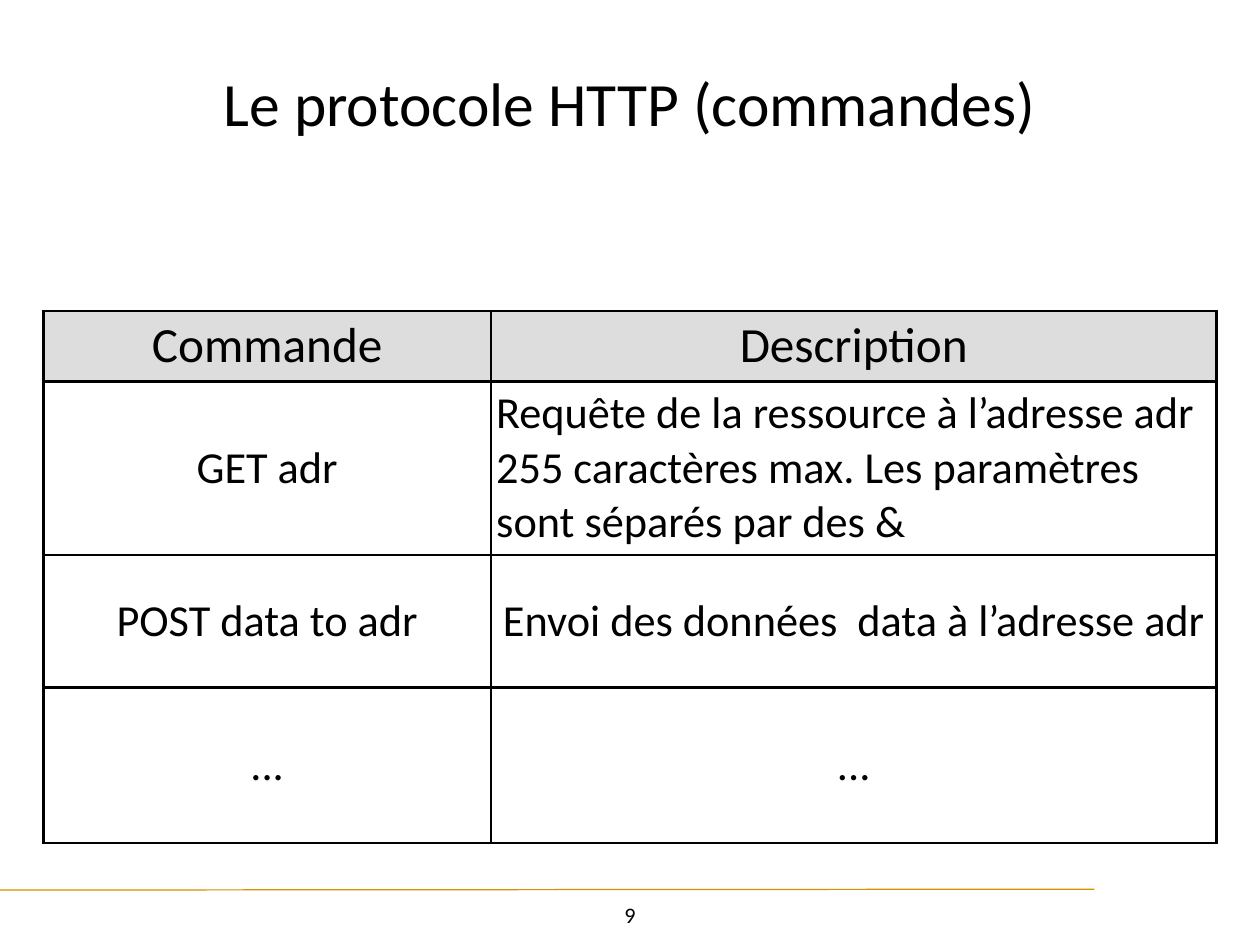
from lxml import etree
from pptx import Presentation
from pptx.dml.color import RGBColor
from pptx.enum.shapes import MSO_CONNECTOR
from pptx.enum.text import MSO_ANCHOR, PP_ALIGN
from pptx.oxml import parse_xml
from pptx.oxml.ns import nsdecls, qn
from pptx.util import Inches, Pt

TITLE = "Le protocole HTTP (commandes)"
PAGE = "9"
ROWS = [
    ("Commande", "Description"),
    ("GET adr", "Requête de la ressource à l’adresse adr\v"
                "255 caractères max. Les paramètres sont séparés par des &"),
    ("POST data to adr", "Envoi des données  data à l’adresse adr"),
    ("...", "..."),
]
COL_WIDTHS = (5.05, 8.19)
ROW_HEIGHTS = (0.79, 1.95, 1.5, 1.76)
LEFT_ALIGNED = (1, 1)
INSET = Inches(0.06)

BLACK = RGBColor(0x00, 0x00, 0x00)
GREY = RGBColor(0xDD, 0xDD, 0xDD)
GOLD = RGBColor(0xD7, 0x90, 0x00)


def set_insets(box):
    box.margin_left = box.margin_right = INSET
    box.margin_top = box.margin_bottom = INSET


def style(p, size, align=PP_ALIGN.CENTER):
    p.alignment = align
    p.font.name = "Calibri"
    p.font.size = Pt(size)
    p.font.color.rgb = BLACK


def add_text(s, text, size, left, top, width, height, anchor, wrap):
    tf = s.shapes.add_textbox(*map(Inches, (left, top, width, height))).text_frame
    set_insets(tf)
    tf.word_wrap = wrap
    tf.vertical_anchor = anchor
    tf.text = text
    style(tf.paragraphs[0], size)


def add_borders(cell):
    tc_pr = cell._tc.get_or_add_tcPr()
    for i, side in enumerate(("lnL", "lnR", "lnT", "lnB")):
        tc_pr.insert(i, parse_xml(
            f'<a:{side} {nsdecls("a")} w="{Pt(2)}"><a:solidFill>'
            f'<a:srgbClr val="{BLACK}"/></a:solidFill></a:{side}>'))


def add_commands(s):
    table = s.shapes.add_table(
        len(ROWS), len(COL_WIDTHS), Inches(0.49), Inches(3.51),
        Inches(sum(COL_WIDTHS)), Inches(sum(ROW_HEIGHTS))).table
    for col, width in zip(table.columns, COL_WIDTHS):
        col.width = Inches(width)
    for r, (texts, height) in enumerate(zip(ROWS, ROW_HEIGHTS)):
        table.rows[r].height = Inches(height)
        for c, text in enumerate(texts):
            cell = table.cell(r, c)
            set_insets(cell)
            cell.vertical_anchor = MSO_ANCHOR.MIDDLE
            if r == 0:
                cell.fill.solid()
                cell.fill.fore_color.rgb = GREY
            else:
                cell.fill.background()
            add_borders(cell)
            cell.text_frame.text = text
            p = cell.text_frame.paragraphs[0]
            p.space_before = Pt(16)
            style(p, 40 if r == 0 else 36,
                  PP_ALIGN.LEFT if (r, c) == LEFT_ALIGNED else PP_ALIGN.CENTER)
            p.font.bold = False


def add_footer_line(s):
    line = s.shapes.add_connector(
        MSO_CONNECTOR.STRAIGHT,
        *map(Inches, (-0.39, 10.05, 12.35, 10.04)))
    line.line.color.rgb = GOLD
    line.line.width = Pt(1)
    etree.SubElement(line._element.spPr, qn("a:effectLst"))


def main():
    prs = Presentation()
    prs.slide_width, prs.slide_height = Inches(14.22), Inches(10.67)
    s = prs.slides.add_slide(prs.slide_layouts[6])
    add_footer_line(s)
    add_commands(s)
    add_text(s, PAGE, 18, 6.92, 10.12, 0.38, 0.4, MSO_ANCHOR.TOP, False)
    add_text(s, TITLE, 50, 1.39, 0.28, 11.44, 1.74, MSO_ANCHOR.MIDDLE, True)
    prs.save("out.pptx")


if __name__ == "__main__":
    main()
